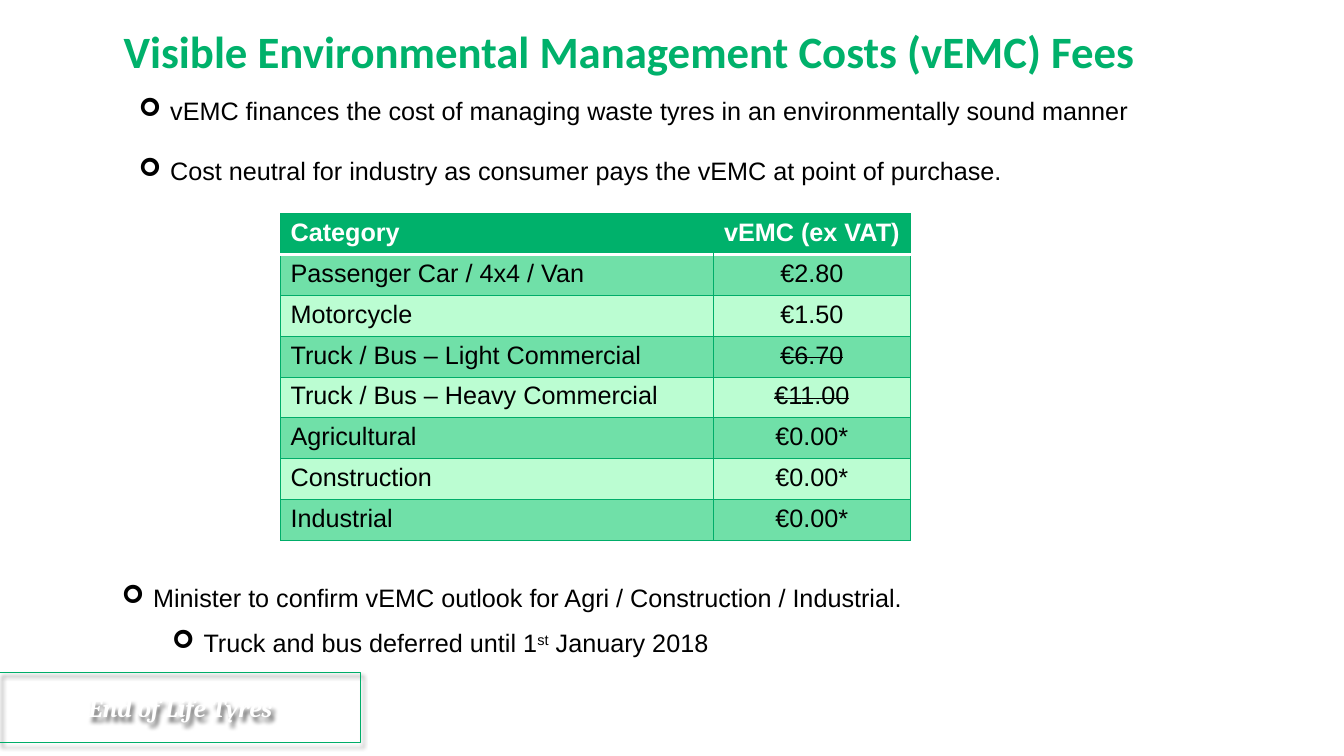
from lxml import etree
from pptx import Presentation
from pptx import util as u
from pptx.dml.color import RGBColor
from pptx.enum import shapes, text
from pptx.oxml.ns import qn

# Content
TITLE = "Visible Environmental Management Costs (vEMC) Fees"
INTRO = [
    "vEMC finances the cost of managing waste tyres in an environmentally sound manner",
    "Cost neutral for industry as consumer pays the vEMC at point of purchase.",
]
HEADER = ("Category", "vEMC (ex VAT)")
FEES = [
    ("Passenger Car / 4x4 / Van", "€2.80"),
    ("Motorcycle", "€1.50"),
    ("Truck / Bus – Light Commercial", "€6.70"),
    ("Truck / Bus – Heavy Commercial", "€11.00"),
    ("Agricultural", "€0.00*"),
    ("Construction", "€0.00*"),
    ("Industrial", "€0.00*"),
]
DEFERRED = {"€6.70", "€11.00"}
OUTLOOK = "Minister to confirm vEMC outlook for Agri / Construction / Industrial."
DEFERRAL = [("Truck and bus deferred until 1", 0), ("st", 30000), (" January 2018", 0)]
TAG = "End of Life Tyres"

COLORS = {"green": "00B16B", "line": "00AD69", "dark_band": "70E0A8",
          "light_band": "BBFDD2", "white": "FFFFFF", "black": "000000"}
COL_WIDTHS = (10.9, 4.98)
ROW_HEIGHT = 1.03
HANG = 0.79


def rgb(name):
    return RGBColor.from_string(COLORS[name])


def style(r, size=18, font="Arial", color="black", bold=False, italic=False):
    r.font.size, r.font.name = u.Pt(size), font
    r.font.bold, r.font.italic = bold, italic
    r.font.color.rgb = rgb(color)


def add_text(s, left, top, width, height):
    tf = s.shapes.add_textbox(u.Cm(left), u.Cm(top), u.Cm(width), u.Cm(height)).text_frame
    tf.word_wrap = True
    return tf


def bullet(p, indent=HANG):
    pPr = p._p.get_or_add_pPr()
    pPr.set("marL", str(u.Cm(indent)))
    pPr.set("indent", str(-u.Cm(HANG)))
    etree.SubElement(pPr, qn("a:buFont"), typeface="Wingdings")
    etree.SubElement(pPr, qn("a:buChar"), char="➢")


def borders(cell, edges):
    tcPr = cell._tc.get_or_add_tcPr()
    for i, (side, (color, width)) in enumerate(edges.items()):
        ln = etree.Element(qn("a:ln" + side), w=str(u.Pt(width)))
        fill = etree.SubElement(ln, qn("a:solidFill"))
        etree.SubElement(fill, qn("a:srgbClr"), val=COLORS[color])
        tcPr.insert(i, ln)


prs = Presentation()
prs.slide_width, prs.slide_height = u.Cm(33.87), u.Cm(19.05)
s = prs.slides.add_slide(prs.slide_layouts[6])

# Title
tf = add_text(s, 2.82, 0.69, 26.09, 1.42)
tf.vertical_anchor = text.MSO_ANCHOR.MIDDLE
p = tf.paragraphs[0]
p.text = TITLE
p.alignment, p.line_spacing = text.PP_ALIGN.CENTER, 0.8
style(p.runs[0], 32, "Calibri", "green", bold=True)

# Section tag: unfilled, so its shadow falls from the outline and the text
sp = s.shapes.add_shape(shapes.MSO_SHAPE.RECTANGLE, 0, u.Cm(16.94), u.Cm(9.09), u.Cm(1.78))
sp.shadow.inherit = False
sp.fill.background()
sp.line.color.rgb, sp.line.width = rgb("line"), u.Pt(0.75)
shadow = etree.SubElement(sp._element.spPr.find(qn("a:effectLst")), qn("a:outerShdw"),
                          blurRad="38100", dist="38100", dir="3600000", rotWithShape="0")
tint = etree.SubElement(shadow, qn("a:srgbClr"), val=COLORS["black"])
etree.SubElement(tint, qn("a:alpha"), val="60000")
tf = sp.text_frame
tf.vertical_anchor = text.MSO_ANCHOR.MIDDLE
p = tf.paragraphs[0]
p.text = TAG
p.alignment = text.PP_ALIGN.CENTER
style(p.runs[0], 18, "Cambria", "white", bold=True, italic=True)

# Fee table
rows = [HEADER] + FEES
table = s.shapes.add_table(len(rows), len(HEADER), u.Cm(7.07), u.Cm(5.38),
                           u.Cm(sum(COL_WIDTHS)), u.Cm(ROW_HEIGHT * len(rows))).table
for col, width in zip(table.columns, COL_WIDTHS):
    col.width = u.Cm(width)
for i, row in enumerate(rows):
    table.rows[i].height = u.Cm(ROW_HEIGHT)
    for j, value in enumerate(row):
        cell = table.cell(i, j)
        p = cell.text_frame.paragraphs[0]
        p.text = value
        p.alignment = text.PP_ALIGN.CENTER if j else text.PP_ALIGN.LEFT
        style(p.runs[0], color="black" if i else "white", bold=i == 0)
        if value in DEFERRED:
            p.runs[0].font._element.set("strike", "sngStrike")
        cell.fill.solid()
        band = "dark_band" if i % 2 else "light_band"
        cell.fill.fore_color.rgb = rgb(band if i else "green")
        edges = dict.fromkeys("LRTB", ("line", 0.75))
        if i == 0:
            edges["R" if j == 0 else "L"] = ("green", 0.75)
            edges["B"] = ("white", 2)
        elif i == 1:
            edges["T"] = ("white", 2)
        borders(cell, edges)

# Outlook bullets
tf = add_text(s, 2.82, 14.17, 25.55, 2.57)
p = tf.paragraphs[0]
p.text = OUTLOOK
p.line_spacing = 1.5
bullet(p)
style(p.runs[0])
p = tf.add_paragraph()
p.level, p.line_spacing = 1, 1.5
bullet(p, 2.06)
for part, baseline in DEFERRAL:
    r = p.add_run()
    r.text = part
    style(r)
    if baseline:
        r.font._element.set("baseline", str(baseline))

# Introductory bullets
tf = add_text(s, 3.25, 2.29, 26.92, 2.57)
for i, line in enumerate(INTRO):
    p = tf.add_paragraph() if i else tf.paragraphs[0]
    p.text = line
    p.space_before = u.Pt(21 * i)
    bullet(p)
    style(p.runs[0])

prs.save("out.pptx")
